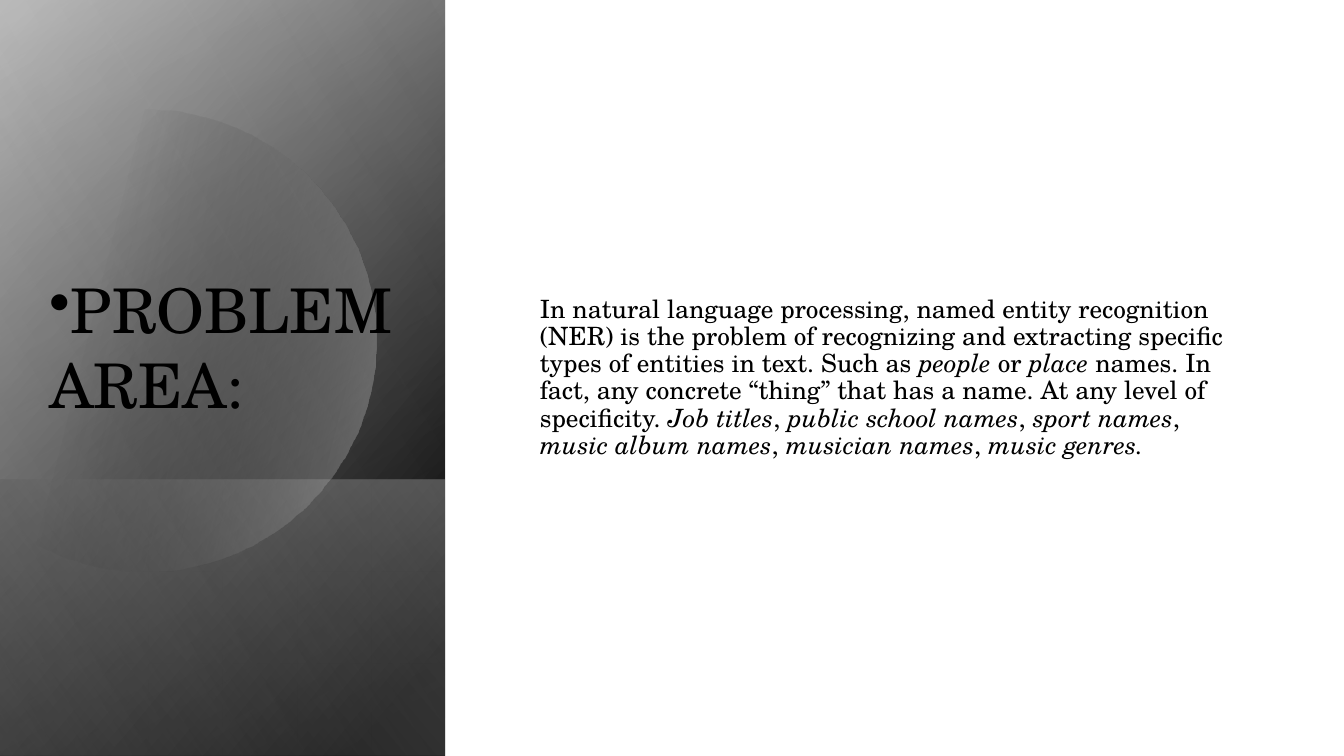
import math

import pptx
import pptx.dml.color
import pptx.enum.shapes
import pptx.enum.text
import pptx.oxml
import pptx.oxml.ns
import pptx.util

PX = 914400 / 100.8
FONT = "TeX Gyre Schola"
PANEL_WIDTH, PAGE_WIDTH, PAGE_HEIGHT = 445, 1344, 756
BAND_TOP = 480


def px(length):
    return pptx.util.Emu(round(length * PX))


def paint_gradient(shape, angle, stops):
    """Fill with a linear gradient of (position %, colour, opacity %)."""
    shape.shadow.inherit = False
    shape.line.fill.background()
    shape.fill.background()
    marks = "".join(
        f'<a:gs pos="{place * 1000}"><a:srgbClr val="{colour}">'
        f'<a:alpha val="{opacity * 1000}"/></a:srgbClr></a:gs>'
        for place, colour, opacity in stops)
    gradient = pptx.oxml.parse_xml(
        f'<a:gradFill {pptx.oxml.ns.nsdecls("a")} rotWithShape="1">'
        f'<a:gsLst>{marks}</a:gsLst>'
        f'<a:lin ang="{angle * 60000}" scaled="0"/></a:gradFill>')
    properties = shape.element.spPr
    properties.replace(properties.find(pptx.oxml.ns.qn("a:noFill")), gradient)


deck = pptx.Presentation()
deck.slide_width, deck.slide_height = px(PAGE_WIDTH), px(PAGE_HEIGHT)
page = deck.slides.add_slide(deck.slide_layouts[5])

# White backdrop
backdrop = page.shapes.add_shape(
    pptx.enum.shapes.MSO_SHAPE.RECTANGLE, 0, 0, px(PAGE_WIDTH), px(PAGE_HEIGHT))
backdrop.shadow.inherit = False
backdrop.fill.solid()
backdrop.fill.fore_color.rgb = pptx.dml.color.RGBColor.from_string("FFFFFF")
backdrop.line.fill.background()

# Left panel: turned, mirrored gradient layers, with the disc below the last
layers = [
    (0, 50, [(8, "000000", 100), (100, "A6A6A6", 100)]),
    (0, 30, [(0, "000000", 0), (99, "DDDDDD", 46)]),
    (BAND_TOP, 130, [(2, "DDDDDD", 29), (100, "000000", 30)]),
    (0, 120, [(0, "000000", 0), (99, "EBEBEB", 11)]),
]
for number, (top, angle, stops) in enumerate(layers):
    if number == 3:
        # Disc cut off by the left edge of the page
        center_x, center_y, radius = 145, 341, 231
        reach = math.acos(-center_x / radius)
        rim = []
        for step in range(121):
            turn = reach * (step / 60 - 1)
            rim.append((center_x + radius * math.cos(turn),
                        center_y + radius * math.sin(turn)))
        builder = page.shapes.build_freeform(*rim[0], scale=PX)
        builder.add_line_segments(rim[1:], close=True)
        paint_gradient(builder.convert_to_shape(), 14,
                       [(29, "000000", 0), (100, "DDDDDD", 43)])
    height = PAGE_HEIGHT - top
    layer = page.shapes.add_shape(
        pptx.enum.shapes.MSO_SHAPE.RECTANGLE,
        px((PANEL_WIDTH - height) / 2), px(top + (height - PANEL_WIDTH) / 2),
        px(height), px(PANEL_WIDTH))
    layer.rotation = 90
    layer.element.spPr.find(pptx.oxml.ns.qn("a:xfrm")).set("flipH", "1")
    paint_gradient(layer, angle, stops)

# Text: (content, italic) runs in paragraphs
title = page.shapes.title
title.element.getparent().append(title.element)
title.left, title.top, title.width, title.height = px(39), px(275), px(679), px(153)
body = page.shapes.add_textbox(px(530), px(72), px(723), px(612))

title_text = [[("PROBLEM", False)], [("AREA:", False)]]
body_text = [[
    ("In natural language processing, named entity recognition (NER) is the "
     "problem of recognizing and extracting specific types of entities in text. "
     "Such as ", False),
    ("people", True), (" or ", False), ("place", True),
    (" names. In fact, any concrete “thing” that has a name. At any level of "
     "specificity. ", False),
    ("Job titles", True), (", ", False), ("public school names", True),
    (", ", False), ("sport names", True), (", ", False),
    ("music album names", True), (", ", False), ("musician names", True),
    (", ", False), ("music genres.", True),
]]
anchors = pptx.enum.text.MSO_ANCHOR
for box, size, anchor, paragraphs in [(title, 44, anchors.TOP, title_text),
                                      (body, 18, anchors.MIDDLE, body_text)]:
    frame = box.text_frame
    frame.word_wrap = True
    frame.auto_size = pptx.enum.text.MSO_AUTO_SIZE.NONE
    frame.vertical_anchor = anchor
    for index, runs in enumerate(paragraphs):
        para = frame.add_paragraph() if index else frame.paragraphs[0]
        para.alignment = pptx.enum.text.PP_ALIGN.LEFT
        para.line_spacing = 0.9
        para.space_after = pptx.util.Pt(6)
        for content, italic in runs:
            span = para.add_run()
            span.text = content
            span.font.name = FONT
            span.font.size = pptx.util.Pt(size)
            span.font.italic = italic
            span.font.color.rgb = pptx.dml.color.RGBColor.from_string("000000")

# Bullet before the first title line
settings = title.text_frame.paragraphs[0].element if hasattr(
    title.text_frame.paragraphs[0], "element") else title.element.find(
    ".//" + pptx.oxml.ns.qn("a:p"))
settings = settings.find(pptx.oxml.ns.qn("a:pPr"))
settings.set("marL", "0")
settings.set("indent", "0")
settings.append(pptx.oxml.parse_xml(
    f'<a:buChar {pptx.oxml.ns.nsdecls("a")} char="•"/>'))

deck.save("out.pptx")
